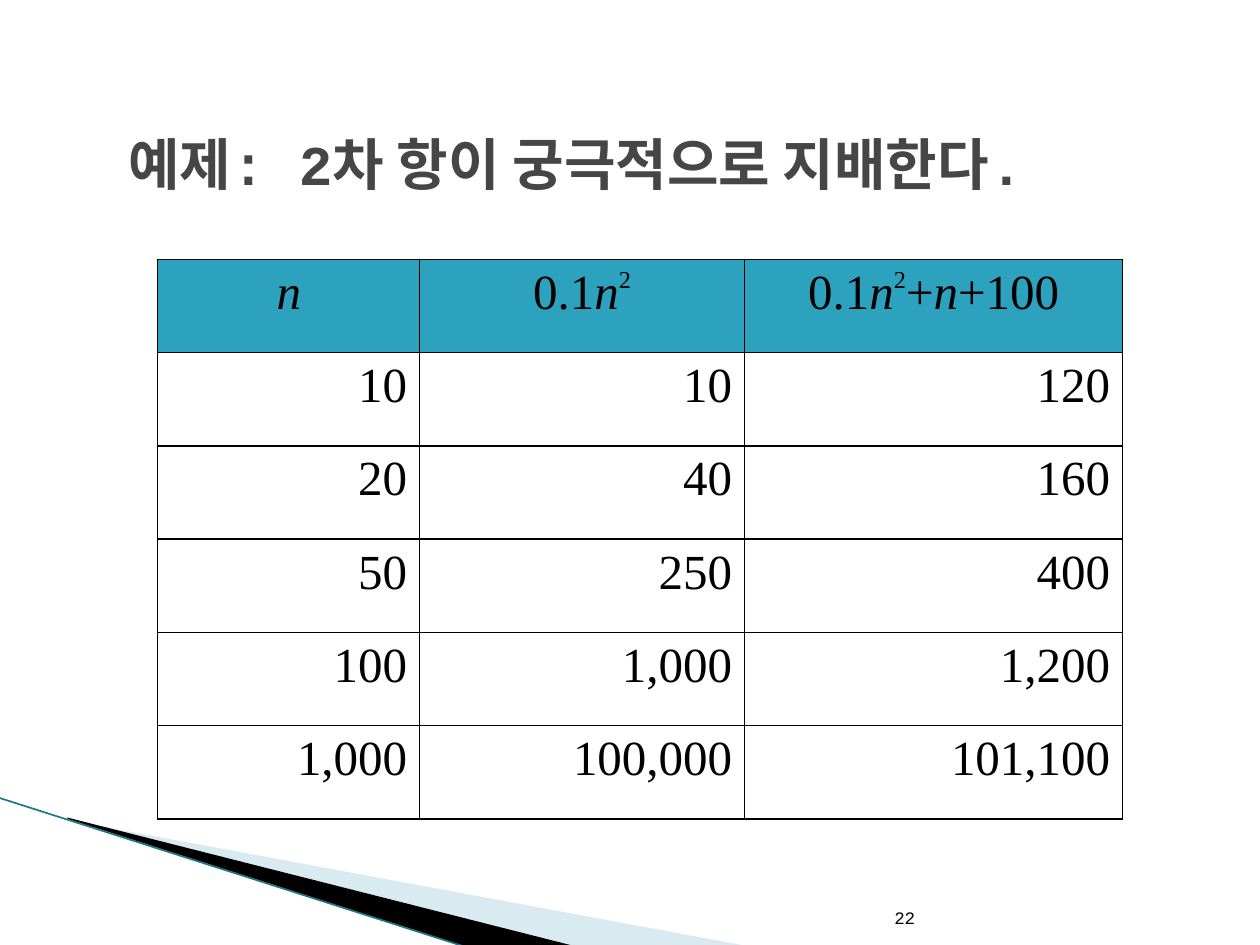
from lxml.etree import SubElement
from pptx import Presentation
from pptx.dml.color import RGBColor
from pptx.enum.shapes import MSO_CONNECTOR as Connector
from pptx.enum.text import MSO_ANCHOR as Anchor, PP_ALIGN as Align
from pptx.oxml.ns import qn
from pptx.util import Cm, Pt

COLORS = {
    "title": "464646",
    "text": "000000",
    "header": "2DA2BF",
    "border": "000000",
    "light_wedge": "A0CBDC",
    "dark_wedge": "000000",
    "edge": "1F768B",
}
HEADERS = [["n"], ["0.1", "n", "²"], ["0.1", "n", "²", "+", "n", "+100"]]
ROWS = [
    ["10", "10", "120"],
    ["20", "40", "160"],
    ["50", "250", "400"],
    ["100", "1,000", "1,200"],
    ["1,000", "100,000", "101,100"],
]


def rgb(name):
    return RGBColor.from_string(COLORS[name])


class SlideBuilder:
    text_font = "Courier New"
    table_font = "Times New Roman"
    table_size = 28
    exponent_size = 24

    def __init__(self, slide):
        self.slide = slide

    def style(self, paragraph, font, size, color, align, bold=False):
        paragraph.alignment = align
        paragraph.font.name = font
        paragraph.font.size = Pt(size)
        paragraph.font.bold = bold
        paragraph.font.color.rgb = rgb(color)

    def text(self, words, box, size, color, align, anchor, bold=False):
        frame = self.slide.shapes.add_textbox(*map(Cm, box)).text_frame
        frame.word_wrap = True
        frame.vertical_anchor = anchor
        paragraph = frame.paragraphs[0]
        paragraph.text = words
        self.style(paragraph, self.text_font, size, color, align, bold)

    def wedge(self, points, color, opacity=100):
        start, *others = [(Cm(x), Cm(y)) for x, y in points]
        outline = self.slide.shapes.build_freeform(*start)
        outline.add_line_segments(others, close=True)
        wedge = outline.convert_to_shape()
        wedge.shadow.inherit = False
        wedge.line.fill.background()
        wedge.fill.solid()
        wedge.fill.fore_color.rgb = rgb(color)
        if opacity < 100:
            tint = wedge.fill._xPr.find(".//" + qn("a:srgbClr"))
            SubElement(tint, qn("a:alpha"), val=str(opacity * 1000))

    def line(self, start, end, color, width):
        ends = map(Cm, (*start, *end))
        line = self.slide.shapes.add_connector(Connector.STRAIGHT, *ends)
        line.line.color.rgb = rgb(color)
        line.line.width = Pt(width)
        SubElement(line._element.spPr, qn("a:effectLst"))

    def borders(self, cell):
        properties = cell._tc.get_or_add_tcPr()
        for position, side in enumerate(("a:lnL", "a:lnR", "a:lnT", "a:lnB")):
            border = SubElement(properties, qn(side), w=str(Pt(1)))
            fill = SubElement(border, qn("a:solidFill"))
            SubElement(fill, qn("a:srgbClr"), val=COLORS["border"])
            properties.insert(position, border)

    def formula(self, paragraph, parts):
        for part in parts:
            run = paragraph.add_run()
            run.text = part
            if part == "n":
                run.font.italic = True
            elif part == "²":
                run.text = "2"
                run.font.size = Pt(self.exponent_size)
                run._r.get_or_add_rPr().set("baseline", "50000")

    def table(self, headers, rows, left, top, widths, row_height):
        lines = [headers, *rows]
        frame = self.slide.shapes.add_table(
            len(lines), len(widths), Cm(left), Cm(top),
            Cm(sum(widths)), Cm(row_height * len(lines)))
        table = frame.table
        table.first_row = table.horz_banding = False
        for column, width in zip(table.columns, widths):
            column.width = Cm(width)
        for r, line in enumerate(lines):
            table.rows[r].height = Cm(row_height)
            for c, content in enumerate(line):
                cell = table.cell(r, c)
                paragraph = cell.text_frame.paragraphs[0]
                if r == 0:
                    cell.fill.solid()
                    cell.fill.fore_color.rgb = rgb("header")
                    self.formula(paragraph, content)
                else:
                    cell.fill.background()
                    paragraph.text = content
                self.style(paragraph, self.table_font, self.table_size, "text",
                           Align.RIGHT if r else Align.CENTER)
                self.borders(cell)


def main():
    deck = Presentation()
    deck.slide_width, deck.slide_height = Cm(25.4), Cm(19.05)
    builder = SlideBuilder(deck.slides.add_slide(deck.slide_layouts[6]))
    builder.wedge([(1.4, 16.54), (15.11, 19.08), (11.58, 19.08), (1.4, 16.51)],
                  "light_wedge", 40)
    builder.wedge([(1.35, 16.48), (11.61, 19.08), (9.45, 19.1), (1.37, 16.51)],
                  "dark_wedge")
    builder.line((-0.03, 16.08), (9.42, 19.1), "edge", 0.95)
    builder.text("22", (12.17, 17.81, 6.53, 1.02), 10, "text",
                 Align.RIGHT, Anchor.BOTTOM)
    builder.table(HEADERS, ROWS, 3.18, 5.23, [5.28, 6.55, 7.62], 1.88)
    builder.text("예제: 2차 항이 궁극적으로 지배한다.", (2.34, 1.7, 21.59, 3.18),
                 32, "title", Align.LEFT, Anchor.MIDDLE, bold=True)
    deck.save("out.pptx")


if __name__ == "__main__":
    main()
